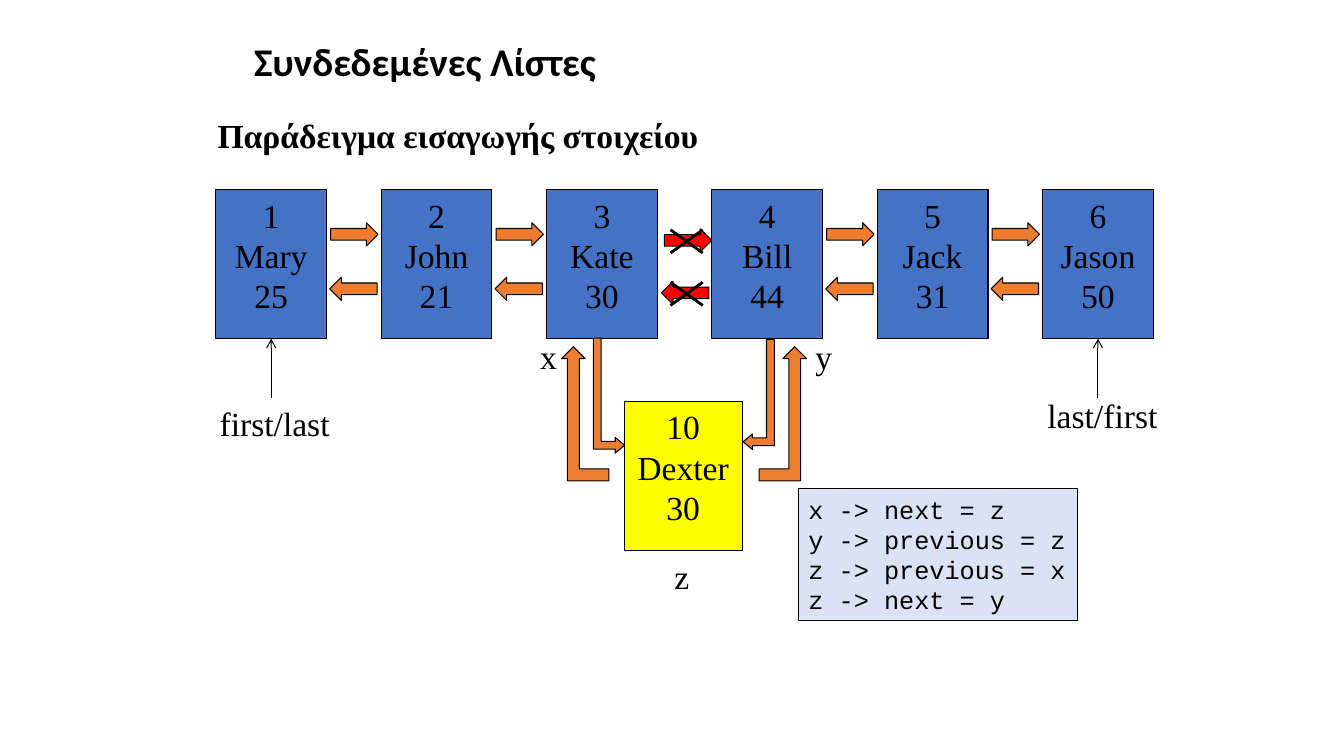
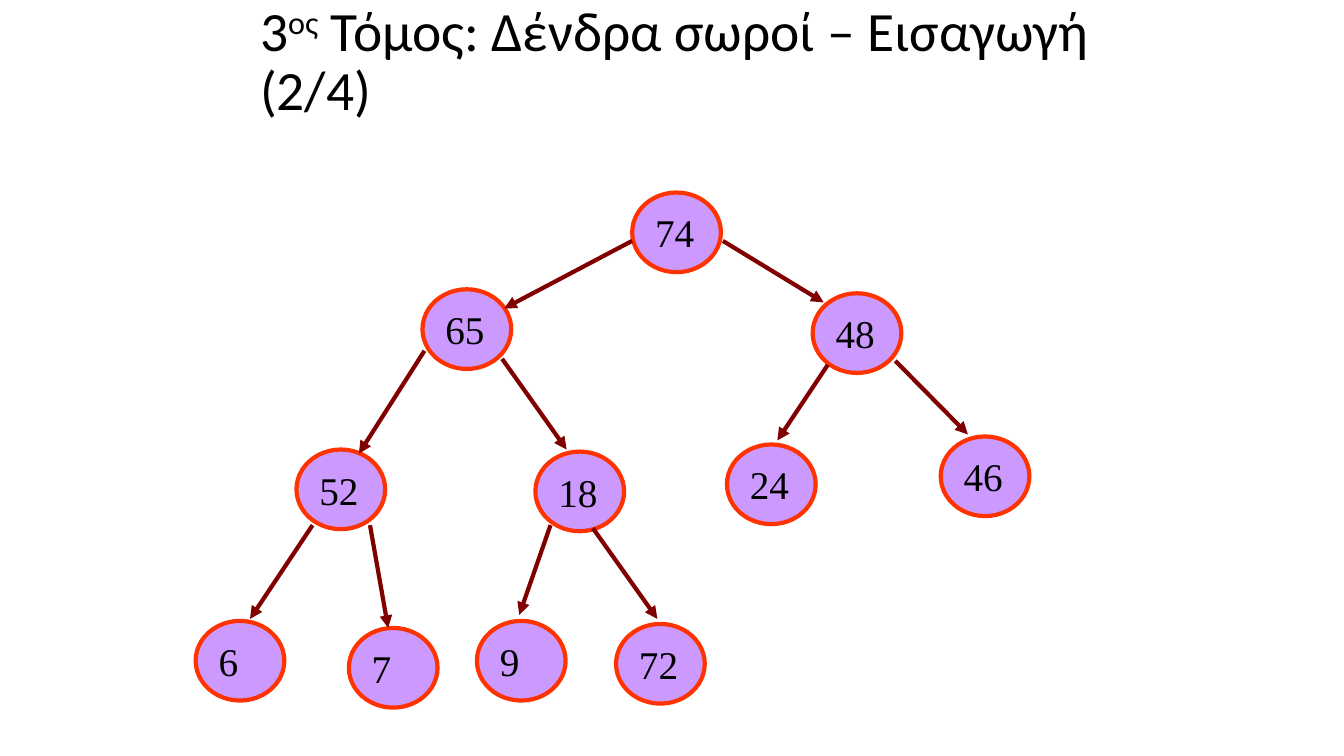
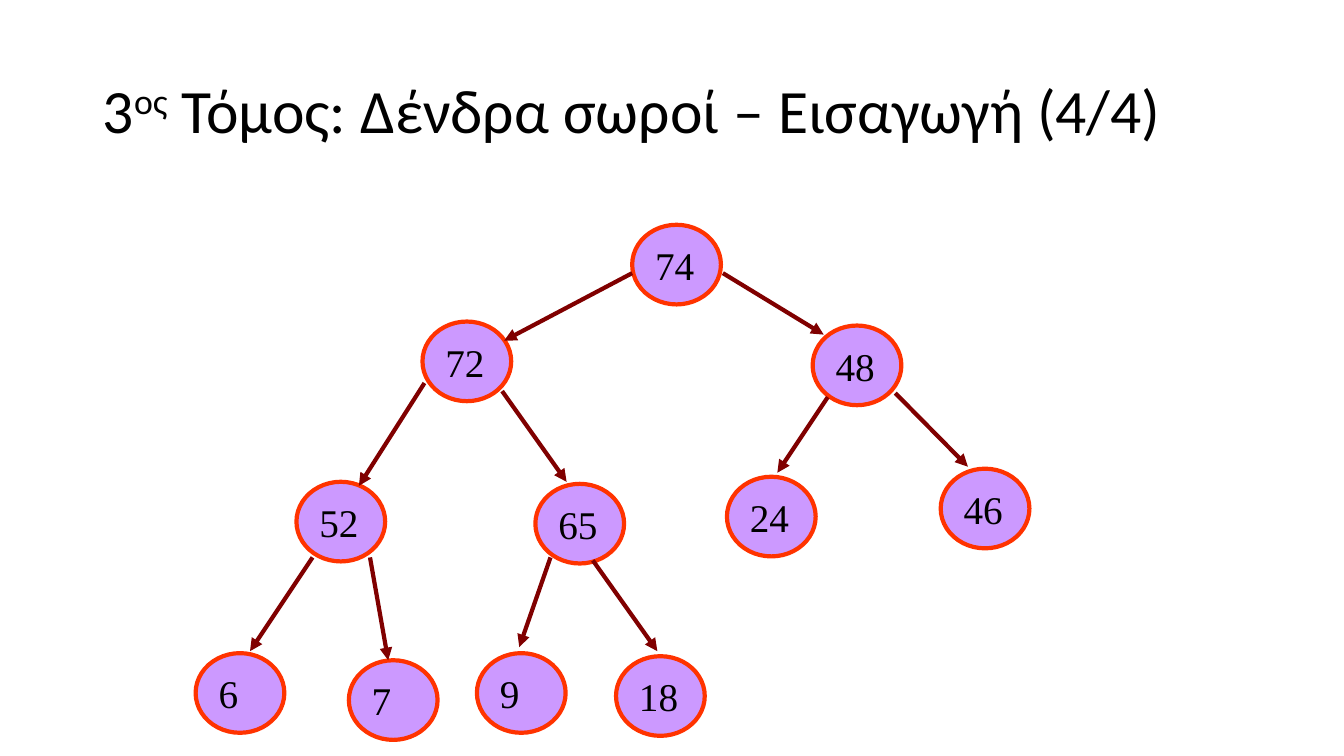
from dataclasses import dataclass
from typing import Any

from lxml import etree
from pptx import Presentation
from pptx import util as u
from pptx.dml import color
from pptx.enum import shapes, text
from pptx.oxml import ns

COLORS = {
    "black": "000000", "node": "4472C4", "new_node": "FFFF00", "code": "DAE3F3",
    "link": "ED7D31", "cut_link": "FF0000",
    "tree_node": "CC99FF", "tree_ring": "FF3300", "tree_edge": "800000",
}
SERIF, SANS, MONO = "Times New Roman", "Calibri", "Courier New"
SHAPE = shapes.MSO_SHAPE
LEFT, CENTER = text.PP_ALIGN.LEFT, text.PP_ALIGN.CENTER
TOP, MIDDLE = text.MSO_ANCHOR.TOP, text.MSO_ANCHOR.MIDDLE


@dataclass(frozen=True)
class Box:
    x: float
    y: float
    w: float
    h: float

    def emu(self) -> tuple[int, ...]:
        return tuple(u.Inches(v) for v in (self.x, self.y, self.w, self.h))


@dataclass(frozen=True)
class BentArrow:
    box: Box
    rotation: int = 0
    flip: str = ""
    adjustments: tuple[float, ...] = ()


@dataclass(frozen=True)
class TreeNode:
    x: float
    y: float


@dataclass(frozen=True)
class Edge:
    x1: float
    y1: float
    x2: float
    y2: float


@dataclass(frozen=True)
class TreeSlide:
    number: str
    title_box: Box
    title_size: float
    shift: float
    values: tuple[int, ...]


def rgb(name: str) -> color.RGBColor:
    return color.RGBColor.from_string(COLORS[name])


def set_all(obj: Any, values: dict[str, Any]) -> None:
    for name, value in values.items():
        setattr(obj, name, value)


def style_font(font: Any, size: float, name: str = SERIF, bold: bool = False) -> None:
    set_all(font, {"size": u.Pt(size), "name": name, "bold": bold})
    font.color.rgb = rgb("black")


def write(sp: Any, lines: list[str], size: float = 24, name: str = SERIF,
          bold: bool = False, align: Any = LEFT, anchor: Any = TOP,
          wrap: bool = False) -> None:
    tf = sp.text_frame
    set_all(tf, {"word_wrap": wrap, "vertical_anchor": anchor})
    for i, line in enumerate(lines):
        p = tf.paragraphs[0] if i == 0 else tf.add_paragraph()
        p.alignment = align
        r = p.add_run()
        r.text = line
        style_font(r.font, size, name, bold)


def add_shape(s: Any, kind: Any, box: Box, fill: str, line: str = "black",
              width: float = 0.75) -> Any:
    sp = s.shapes.add_shape(kind, *box.emu())
    sp.shadow.inherit = False
    sp.fill.solid()
    sp.fill.fore_color.rgb = rgb(fill)
    sp.line.color.rgb = rgb(line)
    sp.line.width = u.Pt(width)
    return sp


def add_label(s: Any, box: Box, label: str, bold: bool = False) -> None:
    write(s.shapes.add_textbox(*box.emu()), [label], bold=bold)


def add_line(parent: Any, edge: Edge, line: str, width: float, head: str = "") -> Any:
    """Draw a straight line on a slide or in a group, with an optional end arrowhead."""
    ends = (u.Inches(v) for v in (edge.x1, edge.y1, edge.x2, edge.y2))
    c = parent.shapes.add_connector(shapes.MSO_CONNECTOR.STRAIGHT, *ends)
    c.line.color.rgb = rgb(line)
    c.line.width = u.Pt(width)
    sp_pr = c.element.spPr
    if head:
        etree.SubElement(sp_pr.get_or_add_ln(), ns.qn("a:tailEnd"), type=head)
    etree.SubElement(sp_pr, ns.qn("a:effectLst"))
    return c


def add_titled_slide(prs: Any, box: Box, size: float, pieces: list[tuple[str, bool]],
                     bold: bool = False) -> Any:
    """Add a slide; each title piece is its text and whether it is superscript."""
    s = prs.slides.add_slide(prs.slide_layouts[5])
    title = s.shapes.title
    set_all(title, dict(zip(("left", "top", "width", "height"), box.emu())))
    tf = title.text_frame
    set_all(tf, {"word_wrap": True, "vertical_anchor": MIDDLE,
                 "auto_size": text.MSO_AUTO_SIZE.NONE})
    p = tf.paragraphs[0]
    set_all(p, {"alignment": LEFT, "line_spacing": 0.9})
    for piece, raised in pieces:
        r = p.add_run()
        r.text = piece
        style_font(r.font, size, SANS, bold)
        if raised:
            r._r.get_or_add_rPr().set("baseline", "30000")
    return s


# Linked list
PEOPLE = [("Mary", 25), ("John", 21), ("Kate", 30), ("Bill", 44), ("Jack", 31), ("Jason", 50)]
NODE_X, NODE_Y, NODE_W, NODE_H, NODE_STEP = 2.14, 1.88, 1.1, 1.48, 1.64
CUT_AFTER = 2
LINK_W, LINK_H = 0.47, 0.23
BENT_ARROWS = [
    BentArrow(Box(7.53, 3.44, 0.47, 1.33)),
    BentArrow(Box(5.57, 3.44, 0.47, 1.33), flip="flipH"),
    BentArrow(Box(5.47, 3.77, 1.14, 0.31), 90, adjustments=(0.25, 0.25, 0.3)),
    BentArrow(Box(6.98, 3.76, 1.09, 0.31), 90, "flipV", (0.25, 0.25, 0.3)),
]
CODE = ["x -> next = z", "y -> previous = z", "z -> previous = x", "z -> next = y"]


def add_list_node(s: Any, box: Box, fill: str, lines: list[str]) -> Any:
    sp = add_shape(s, SHAPE.RECTANGLE, box, fill)
    write(sp, lines, align=CENTER, wrap=True)
    return sp


def add_link(s: Any, x: float, y: float, fill: str, rotation: int) -> None:
    sp = add_shape(s, SHAPE.RIGHT_ARROW, Box(x, y, LINK_W, LINK_H), fill)
    sp.rotation = rotation


def add_cross(s: Any, box: Box) -> None:
    group = s.shapes.add_group_shape()
    right, bottom = box.x + box.w, box.y + box.h
    add_line(group, Edge(box.x, box.y, right, bottom), "black", 2)
    add_line(group, Edge(right, box.y, box.x, bottom), "black", 2)


def add_pointer(s: Any, node: Any, label: str, label_box: Box) -> None:
    """Label an end node and point at the middle of its bottom side."""
    add_label(s, label_box, label)
    c = add_line(s, Edge(label_box.x, 3.95, label_box.x, 3.4), "black", 0.75, "arrow")
    c.begin_x = node.left + node.width // 2
    c.end_connect(node, 2)


def build_list_slide(prs: Any) -> None:
    s = add_titled_slide(prs, Box(2.42, 0.36, 8.5, 0.55), 28,
                         [("Συνδεδεμένες Λίστες", False)], bold=True)
    nodes = []
    for i, (name, age) in enumerate(PEOPLE):
        box = Box(NODE_X + i * NODE_STEP, NODE_Y, NODE_W, NODE_H)
        nodes.append(add_list_node(s, box, "node", [str(i + 1), name, str(age)]))
    for i in range(len(PEOPLE) - 1):
        if i != CUT_AFTER:
            x = NODE_X + i * NODE_STEP
            add_link(s, x + 1.14, 2.21, "link", 0)
            add_link(s, x + 1.13, 2.75, "link", 180)

    add_pointer(s, nodes[0], "first/last", Box(2.08, 3.95, 1.3, 0.51))
    add_pointer(s, nodes[-1], "last/first", Box(10.29, 3.87, 1.3, 0.51))
    add_list_node(s, Box(6.19, 3.98, 1.17, NODE_H), "new_node", ["10", "Dexter", "30"])
    add_label(s, Box(2.06, 1.09, 5.02, 0.51), "Παράδειγμα εισαγωγής στοιχείου", bold=True)
    for label, x, y in (("x", 5.26, 3.28), ("y", 7.99, 3.28), ("z", 6.59, 5.47)):
        add_label(s, Box(x, y, 0.37, 0.51), label)
    code = add_shape(s, SHAPE.RECTANGLE, Box(7.92, 4.85, 2.77, 1.31), "code")
    write(code, CODE, 18, MONO)

    add_link(s, 6.59, 2.27, "cut_link", 0)
    add_link(s, 6.56, 2.79, "cut_link", 180)
    for arrow in BENT_ARROWS:
        sp = add_shape(s, SHAPE.BENT_UP_ARROW, arrow.box, "link")
        sp.rotation = arrow.rotation
        for i, value in enumerate(arrow.adjustments):
            sp.adjustments[i] = value
        if arrow.flip:
            sp.element.spPr.get_or_add_xfrm().set(arrow.flip, "1")
    for y in (2.8, 2.28):
        add_cross(s, Box(6.65, y, 0.32, 0.23))


# Heap trees: nodes level by level, from left to right
TREE_NODES = [
    TreeNode(6.27, 1.91),
    TreeNode(4.19, 2.87), TreeNode(8.06, 2.91),
    TreeNode(2.94, 4.46), TreeNode(5.31, 4.48), TreeNode(7.21, 4.41), TreeNode(9.33, 4.33),
    TreeNode(1.94, 6.16), TreeNode(3.46, 6.23), TreeNode(4.73, 6.16), TreeNode(6.11, 6.19),
]
TREE_EDGES = [
    Edge(6.27, 2.39, 5, 3.06), Edge(7.17, 2.39, 8.17, 3),
    Edge(4.21, 3.48, 3.56, 4.5), Edge(4.98, 3.56, 5.62, 4.46),
    Edge(8.21, 3.62, 7.71, 4.37), Edge(8.88, 3.58, 9.6, 4.31),
    Edge(3.1, 5.21, 2.48, 6.14), Edge(3.67, 5.21, 3.85, 6.23),
    Edge(5.46, 5.21, 5.15, 6.1), Edge(5.88, 5.24, 6.52, 6.14),
]
TREE_SLIDES = [
    TreeSlide("2/4", Box(2.48, 0, 8.5, 1.25), 39.6, 0,
              (74, 65, 48, 52, 18, 24, 46, 6, 7, 9, 72)),
    TreeSlide("4/4", Box(0.92, 0.4, 11.5, 1.45), 44, 0.32,
              (74, 72, 48, 52, 65, 24, 46, 6, 7, 9, 18)),
]


def build_tree_slide(prs: Any, tree: TreeSlide) -> None:
    pieces = [("3", False), ("ος", True),
              (f" Τόμος: Δένδρα σωροί – Εισαγωγή ({tree.number})", False)]
    s = add_titled_slide(prs, tree.title_box, tree.title_size, pieces)
    for node, value in zip(TREE_NODES, tree.values):
        box = Box(node.x, node.y + tree.shift, 0.88, 0.79)
        sp = add_shape(s, SHAPE.OVAL, box, "tree_node", "tree_ring", 3)
        write(sp, [str(value)], 28, anchor=MIDDLE, wrap=True)
    for e in TREE_EDGES:
        moved = Edge(e.x1, e.y1 + tree.shift, e.x2, e.y2 + tree.shift)
        add_line(s, moved, "tree_edge", 3, "triangle")


def main() -> None:
    prs = Presentation()
    set_all(prs, {"slide_width": u.Inches(13.33), "slide_height": u.Inches(7.5)})
    build_list_slide(prs)
    for tree in TREE_SLIDES:
        build_tree_slide(prs, tree)
    prs.save("out.pptx")


if __name__ == "__main__":
    main()
